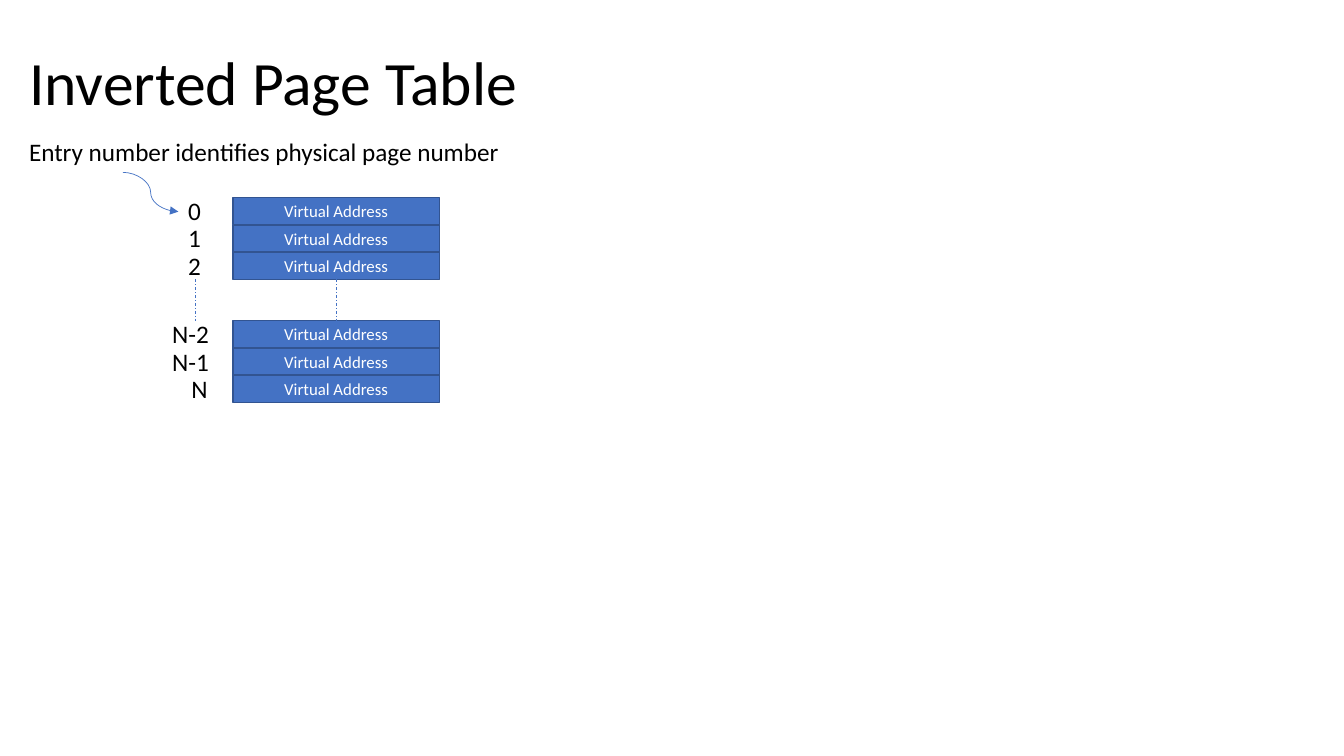
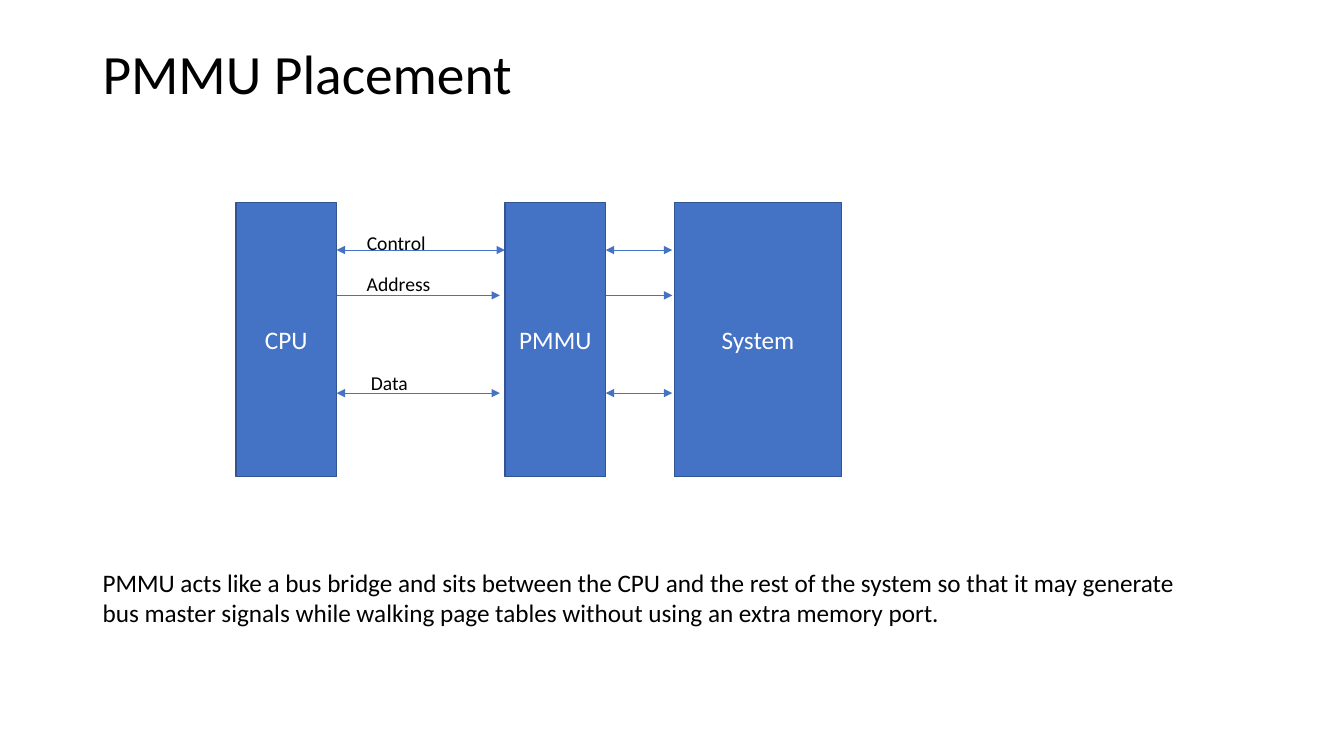
from dataclasses import dataclass
from typing import Any

from lxml.etree import SubElement
from pptx import Presentation
from pptx.dml.color import RGBColor
from pptx.enum.dml import MSO_LINE
from pptx.enum.shapes import MSO_CONNECTOR, MSO_SHAPE
from pptx.enum.text import MSO_ANCHOR, MSO_AUTO_SIZE, PP_ALIGN
from pptx.oxml.ns import qn
from pptx.slide import Slide
from pptx.util import Pt


@dataclass(frozen=True)
class Theme:
    font: str = "Calibri"
    ink: RGBColor = RGBColor(0x00, 0x00, 0x00)
    paper: RGBColor = RGBColor(0xFF, 0xFF, 0xFF)
    accent: RGBColor = RGBColor(0x44, 0x72, 0xC4)
    edge: RGBColor = RGBColor(0x32, 0x54, 0x91)
    title: float = 44
    title_small: float = 39.6
    body: float = 18
    label: float = 14
    cell: float = 12
    border: float = 1
    wire: float = 0.5


@dataclass(frozen=True)
class Rect:
    x: float
    y: float
    w: float
    h: float

    @property
    def right(self) -> float:
        return self.x + self.w

    @property
    def bottom(self) -> float:
        return self.y + self.h

    def lengths(self) -> list[Pt]:
        return [Pt(v) for v in (self.x, self.y, self.w, self.h)]


@dataclass(frozen=True)
class Entry:
    label: str
    x: float
    w: float
    slot: int
    wrap: bool = True


@dataclass(frozen=True)
class Block:
    name: str
    rect: Rect


@dataclass(frozen=True)
class Signal:
    name: str
    y: float
    both_ways: bool
    label: Rect
    end_gap: float = 3.6


THEME = Theme()


# Drawing helpers
def apply(target: Any, values: dict[str, Any]) -> None:
    for name, value in values.items():
        setattr(target, name, value)


def write(sp: Any, text: str, size: float, color: RGBColor,
          frame: dict[str, Any], para: dict[str, Any]) -> None:
    tf = sp.text_frame
    apply(tf, frame)
    p = tf.paragraphs[0]
    apply(p, para)
    r = p.add_run()
    r.text = text
    apply(r.font, {"name": THEME.font, "size": Pt(size)})
    r.font.color.rgb = color


def add_title(s: Slide, text: str, rect: Rect, size: float) -> None:
    sp = s.shapes.add_textbox(*rect.lengths())
    write(sp, text, size, THEME.ink,
          {"word_wrap": True, "vertical_anchor": MSO_ANCHOR.MIDDLE},
          {"line_spacing": 0.9})


def add_text(s: Slide, text: str, rect: Rect, size: float = THEME.body,
             wrap: bool = False) -> None:
    sp = s.shapes.add_textbox(*rect.lengths())
    write(sp, text, size, THEME.ink,
          {"word_wrap": wrap, "auto_size": MSO_AUTO_SIZE.SHAPE_TO_FIT_TEXT}, {})


def add_box(s: Slide, text: str, rect: Rect, size: float = THEME.body) -> None:
    sp = s.shapes.add_shape(MSO_SHAPE.RECTANGLE, *rect.lengths())
    sp.shadow.inherit = False
    sp.fill.solid()
    sp.fill.fore_color.rgb = THEME.accent
    sp.line.color.rgb = THEME.edge
    sp.line.width = Pt(THEME.border)
    write(sp, text, size, THEME.paper,
          {"word_wrap": True, "vertical_anchor": MSO_ANCHOR.MIDDLE},
          {"alignment": PP_ALIGN.CENTER})


def add_line(s: Slide, x1: float, y1: float, x2: float, y2: float,
             heads: tuple[str, ...] = (), dash: Any = None,
             kind: Any = MSO_CONNECTOR.STRAIGHT) -> None:
    sp = s.shapes.add_connector(kind, Pt(x1), Pt(y1), Pt(x2), Pt(y2))
    sp.line.color.rgb = THEME.accent
    apply(sp.line, {"width": Pt(THEME.wire), "dash_style": dash})
    props = sp._element.spPr
    for end in heads:
        SubElement(props.find(qn("a:ln")), qn(f"a:{end}"), type="triangle")
    SubElement(props, qn("a:effectLst"))


# Inverted page table: two groups of rows with a gap between them
def page_table(s: Slide) -> None:
    add_title(s, "Inverted Page Table", Rect(13.7, 8.6, 828, 104.4), THEME.title)
    left, top, width, pitch = 166.3, 141.1, 147.6, 19.5
    entries = [
        Entry("0", 127.4, 23.8, 0, wrap=False),
        Entry("1", 127.4, 21.6, 1),
        Entry("2", 127.4, 21.6, 2),
        Entry("N-2", 115.9, 43.2, 0),
        Entry("N-1", 115.9, 43.2, 1),
        Entry("N", 129.6, 30.2, 2),
    ]
    group_tops = [top, 229]
    for i, entry in enumerate(entries):
        y = group_tops[i // 3] + entry.slot * pitch
        add_box(s, "Virtual Address", Rect(left, y, width, pitch), THEME.cell)
        add_text(s, entry.label, Rect(entry.x, y - 5, entry.w, 29),
                 wrap=entry.wrap)

    # Omitted rows
    for x in (left + width / 2, 139.7):
        add_line(s, x, top + 3 * pitch, x, group_tops[1],
                 dash=MSO_LINE.DASH_DOT)

    # Note on the entry number
    add_text(s, "Entry number identifies physical page number",
             Rect(13.7, 93.6, 357, 29))
    add_line(s, 87.8, 123.1, 127.4, 151.2, ("tailEnd",),
             kind=MSO_CONNECTOR.CURVE)


# PMMU between the CPU and the system
def pmmu_placement(s: Slide) -> None:
    add_title(s, "PMMU Placement", Rect(66.2, 28.8, 828, 51.8),
              THEME.title_small)
    top, height = 144.7, 195.8
    blocks = [
        Block("CPU", Rect(168.5, top, 72, height)),
        Block("PMMU", Rect(360.7, top, 72, height)),
        Block("System", Rect(481.7, top, 119.5, height)),
    ]
    cpu, pmmu, system = (block.rect for block in blocks)
    for block in blocks:
        add_box(s, block.name, block.rect)

    signals = [
        Signal("Control", 178.6, True, Rect(254.9, 161.3, 56.9, 24.5), end_gap=0),
        Signal("Address", 211, False, Rect(254.9, 190.8, 60.5, 24.5)),
        Signal("Data", 280.8, True, Rect(257.8, 261.4, 41, 24.5)),
    ]
    for signal in signals:
        heads = ("headEnd", "tailEnd") if signal.both_ways else ("tailEnd",)
        for x1, x2 in ((cpu.right, pmmu.x - signal.end_gap),
                       (pmmu.right, system.x - 1.5)):
            add_line(s, x1, signal.y, x2, signal.y, heads)
        add_text(s, signal.name, signal.label, THEME.label)

    add_text(s, "PMMU acts like a bus bridge and sits between the CPU and the "
                "rest of the system so that it may generate bus master signals "
                "while walking page tables without using an extra memory port.",
             Rect(66.2, 401.8, 805.7, 51), wrap=True)


# Build the slides
prs = Presentation()
apply(prs, {"slide_width": Pt(960), "slide_height": Pt(540)})
for draw in (page_table, pmmu_placement):
    draw(prs.slides.add_slide(prs.slide_layouts[6]))
prs.save("out.pptx")
